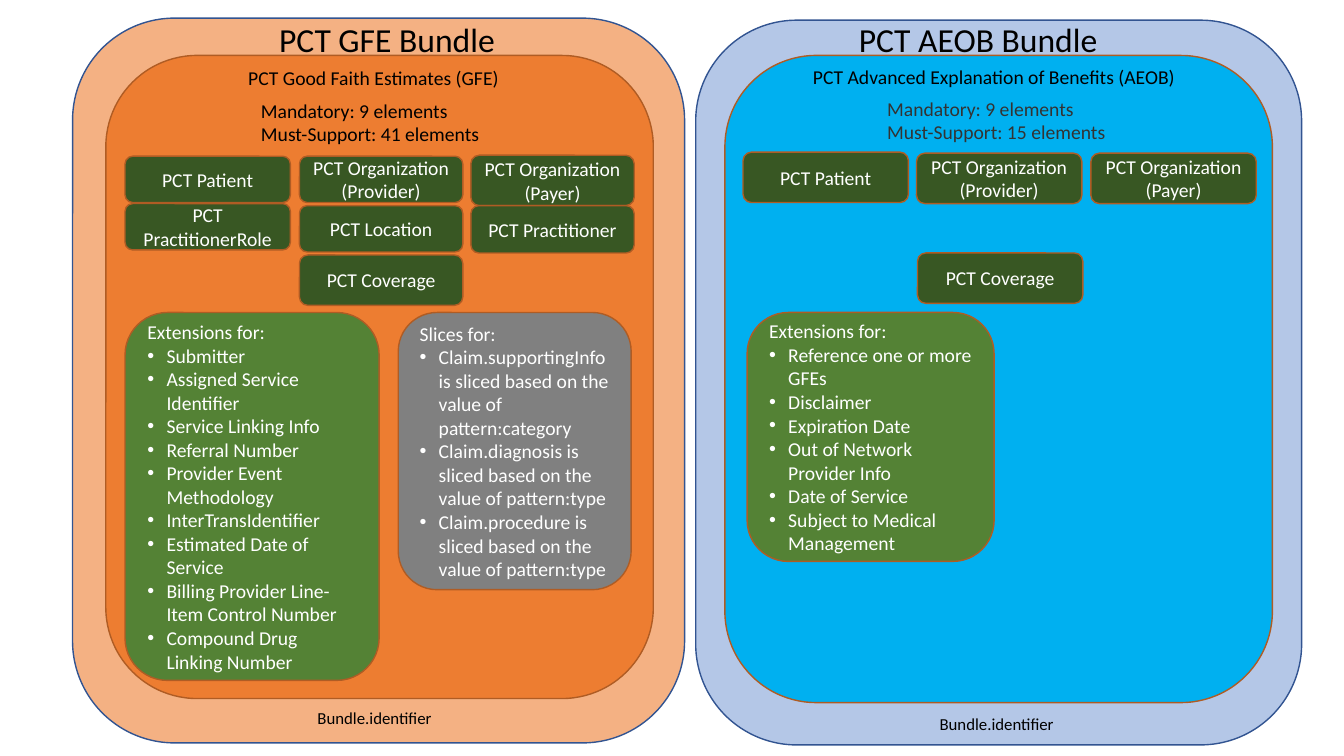
from dataclasses import dataclass

from lxml.etree import SubElement
from pptx import Presentation
from pptx.dml.color import RGBColor
from pptx.enum.shapes import MSO_SHAPE
from pptx.enum.text import MSO_ANCHOR, PP_ALIGN
from pptx.oxml.ns import qn
from pptx.util import Inches, Pt


@dataclass(frozen=True)
class Theme:
    font: str = "Calibri"
    title: int = 24
    body: int = 14
    footer: int = 12
    black: str = "000000"
    grey_text: str = "333333"
    white: str = "FFFFFF"
    gfe_frame: str = "F4B183"
    gfe_panel: str = "ED7D31"
    aeob_frame: str = "B4C7E7"
    aeob_panel: str = "00B0F0"
    profile: str = "385723"
    extensions: str = "548235"
    slices: str = "808080"
    frame_line: str = "325491"
    panel_line: str = "AF5C24"


THEME = Theme()


def add_run(paragraph, text, size, color):
    run = paragraph.add_run()
    run.text = text
    run.font.name = THEME.font
    run.font.size = Pt(size)
    run.font.color.rgb = RGBColor.from_string(color)


def add_block(slide, at, fill, line=None, kind=MSO_SHAPE.FLOWCHART_ALTERNATE_PROCESS):
    block = slide.shapes.add_shape(kind, *map(Inches, at))
    block.shadow.inherit = False
    block.fill.solid()
    block.fill.fore_color.rgb = RGBColor.from_string(fill)
    if line:
        block.line.color.rgb = RGBColor.from_string(line)
        block.line.width = Pt(1)
    else:
        block.line.fill.background()
    block.text_frame.word_wrap = True
    return block


def add_label(slide, at, text, size, align=PP_ALIGN.LEFT):
    frame = slide.shapes.add_textbox(*map(Inches, at)).text_frame
    frame.word_wrap = True
    frame.paragraphs[0].alignment = align
    add_run(frame.paragraphs[0], text, size, THEME.black)


def add_profile(slide, at, name):
    frame = add_block(slide, at, THEME.profile, THEME.panel_line).text_frame
    frame.vertical_anchor = MSO_ANCHOR.MIDDLE
    frame.paragraphs[0].alignment = PP_ALIGN.CENTER
    add_run(frame.paragraphs[0], f"PCT {name}", THEME.body, THEME.white)


def add_counts(slide, at, fill, must_support, color):
    frame = add_block(slide, at, fill, kind=MSO_SHAPE.RECTANGLE).text_frame
    frame.vertical_anchor = MSO_ANCHOR.TOP
    counts = frame.paragraphs[0]
    counts.alignment = PP_ALIGN.LEFT
    add_run(counts, "Mandatory: 9 elements", THEME.body, color)
    counts.add_line_break()
    add_run(counts, f"Must-Support: {must_support} elements", THEME.body, color)


def add_bullet_list(slide, at, fill, heading, items):
    frame = add_block(slide, at, fill, THEME.panel_line).text_frame
    frame.vertical_anchor = MSO_ANCHOR.MIDDLE
    frame.paragraphs[0].alignment = PP_ALIGN.LEFT
    add_run(frame.paragraphs[0], heading, THEME.body, THEME.white)
    for item in items:
        entry = frame.add_paragraph()
        entry.alignment = PP_ALIGN.LEFT
        properties = entry._p.get_or_add_pPr()
        properties.set("marL", str(Inches(0.19)))
        properties.set("indent", str(-Inches(0.19)))
        SubElement(properties, qn("a:buFont")).set("typeface", "Arial")
        SubElement(properties, qn("a:buChar")).set("char", "•")
        add_run(entry, item, THEME.body, THEME.white)


# Places are left, top, width, height in inches
GFE = {
    "frame": ((0.72, 0.18, 6.07, 7.19), THEME.gfe_frame),
    "panel": ((1.05, 0.55, 5.43, 6.38), THEME.gfe_panel),
    "title": ((2.67, 0.14, 2.35, 0.5), "PCT GFE Bundle"),
    "subtitle": ((1.7, 0.6, 4.01, 0.34), "PCT Good Faith Estimates (GFE)"),
    "counts": ((2.49, 0.93, 2.43, 0.57), THEME.gfe_panel, 41, THEME.black),
    "profiles": [
        ((1.24, 1.55, 1.64, 0.46), "Patient"),
        ((2.97, 1.55, 1.62, 0.46), "Organization (Provider)"),
        ((4.67, 1.54, 1.62, 0.5), "Organization (Payer)"),
        ((1.24, 2.02, 1.64, 0.46), "PractitionerRole"),
        ((2.97, 2.04, 1.62, 0.46), "Location"),
        ((4.67, 2.04, 1.62, 0.47), "Practitioner"),
        ((2.97, 2.53, 1.62, 0.5), "Coverage"),
    ],
    "lists": [
        ((1.24, 3.1, 2.52, 3.65), THEME.extensions, "Extensions for:", [
            "Submitter", "Assigned Service Identifier", "Service Linking Info",
            "Referral Number", "Provider Event Methodology",
            "InterTransIdentifier", "Estimated Date of Service",
            "Billing Provider Line-Item Control Number",
            "Compound Drug Linking Number"]),
        ((3.95, 3.1, 2.31, 2.75), THEME.slices, "Slices for:", [
            f"Claim.{element} is sliced based on the value of pattern:{pattern}"
            for element, pattern in (("supportingInfo", "category"),
                                     ("diagnosis", "type"),
                                     ("procedure", "type"))]),
    ],
    "footer": (3.05, 6.97, 1.45, 0.3),
}

AEOB = {
    "frame": ((6.9, 0.2, 6.01, 7.19), THEME.aeob_frame),
    "panel": ((7.19, 0.55, 5.43, 6.42), THEME.aeob_panel),
    "title": ((8.42, 0.14, 2.6, 0.5), "PCT AEOB Bundle"),
    "subtitle": ((7.66, 0.59, 4.4, 0.34),
                 "PCT Advanced Explanation of Benefits (AEOB)"),
    "counts": ((8.7, 0.91, 2.45, 0.57), THEME.aeob_panel, 15, THEME.grey_text),
    "profiles": [
        ((7.37, 1.51, 1.64, 0.5), "Patient"),
        ((9.09, 1.52, 1.64, 0.5), "Organization (Provider)"),
        ((10.82, 1.52, 1.64, 0.5), "Organization (Payer)"),
        ((9.1, 2.51, 1.64, 0.5), "Coverage"),
    ],
    "lists": [
        ((7.41, 3.1, 2.45, 2.47), THEME.extensions, "Extensions for:", [
            "Reference one or more GFEs", "Disclaimer", "Expiration Date",
            "Out of Network Provider Info", "Date of Service",
            "Subject to Medical Management"]),
    ],
    "footer": (9.22, 7.03, 1.45, 0.3),
}


def add_bundle(slide, bundle):
    # Outer bundle and inner resource
    add_block(slide, *bundle["frame"], THEME.frame_line)
    add_label(slide, *bundle["title"], THEME.title)
    add_block(slide, *bundle["panel"], THEME.panel_line)
    add_label(slide, *bundle["subtitle"], THEME.body, PP_ALIGN.CENTER)
    add_counts(slide, *bundle["counts"])

    # Profiles, extensions and slices
    for at, name in bundle["profiles"]:
        add_profile(slide, at, name)
    for bullet_list in bundle["lists"]:
        add_bullet_list(slide, *bullet_list)

    # Bundle identifier
    add_label(slide, bundle["footer"], "Bundle.identifier", THEME.footer)


def main():
    deck = Presentation()
    deck.slide_width, deck.slide_height = Inches(13.33), Inches(7.5)
    slide = deck.slides.add_slide(deck.slide_layouts[6])
    for bundle in (GFE, AEOB):
        add_bundle(slide, bundle)
    deck.save("out.pptx")


main()
